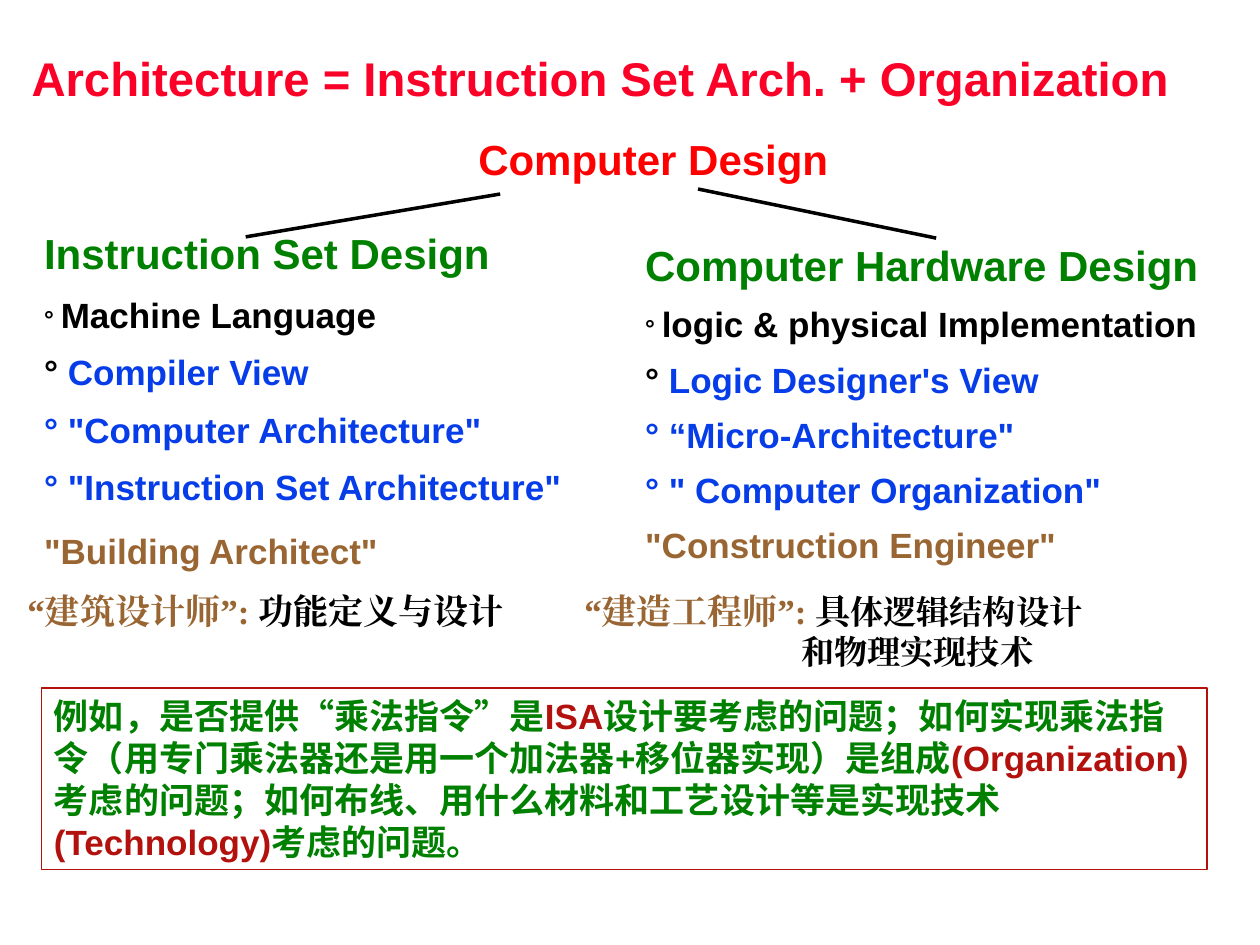
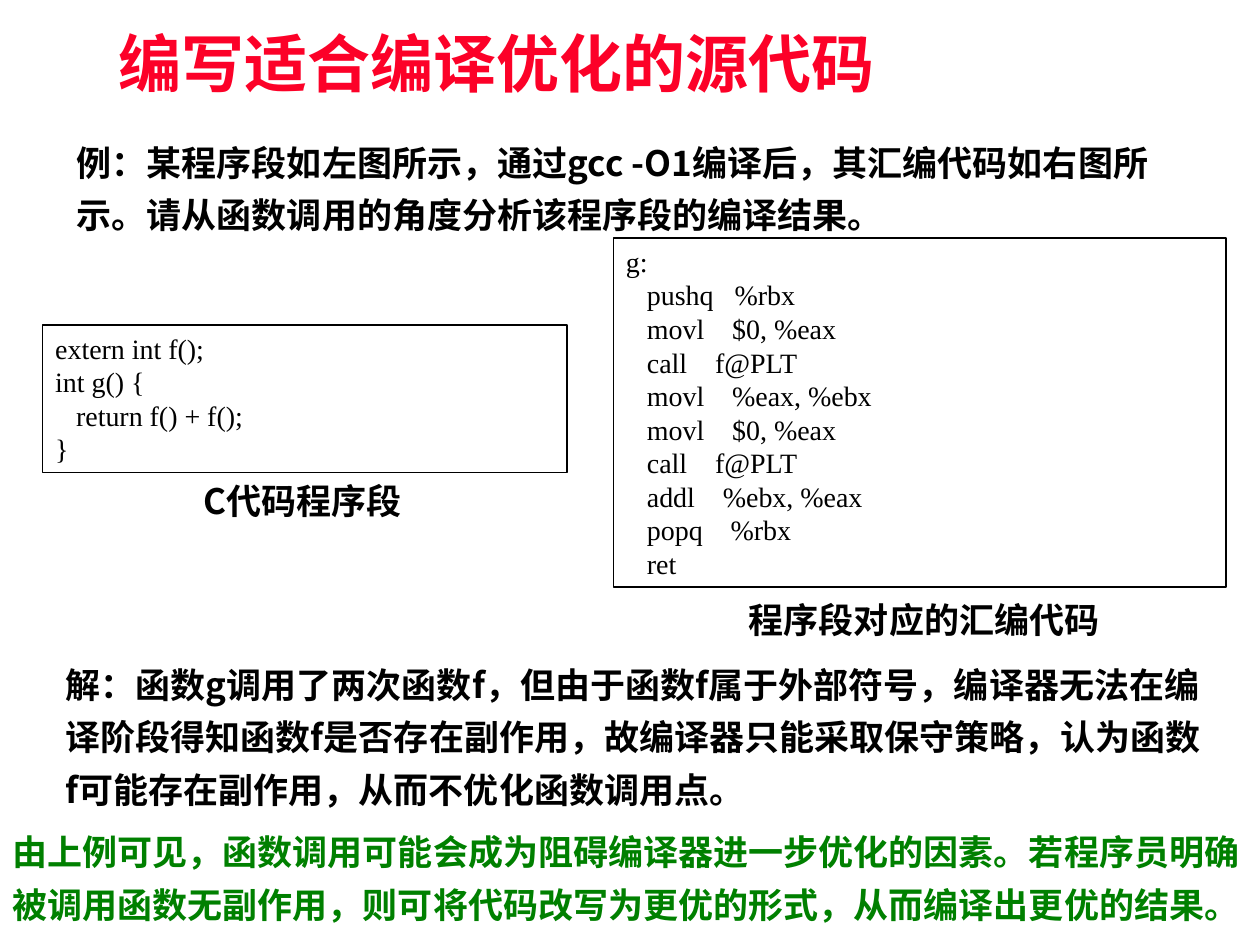
"""Build two slides on computer architecture and compiler-friendly source code."""
from lxml import etree
from pptx import Presentation
from pptx.dml.color import RGBColor
from pptx.enum import shapes, text
from pptx.oxml import ns
from pptx.util import Inches, Pt

RED, GREEN, BLUE = "FC0128", "008000", "063DE8"
BROWN, WINE, BLACK = "996633", "B3110D", "000000"
SANS, HAN, SERIF = "Arial", "Noto Sans CJK SC", "Times New Roman"
LEFT, MID = text.PP_ALIGN.LEFT, text.PP_ALIGN.CENTER
TIGHT, WIDE = (0.07, 0.03), (0.1, 0.05)


def tint(code):
    return RGBColor.from_string(code)


def put(slide, spot, paras, size=20, font=SANS, bold=True, line=None,
        pad=WIDE, align=LEFT, lead=None, gap=0):
    area = [Inches(n) for n in spot]
    if line:
        box = slide.shapes.add_shape(shapes.MSO_SHAPE.RECTANGLE, *area)
        box.shadow.inherit = False
        box.fill.background()
        box.line.color.rgb = tint(line)
        box.line.width = Pt(0.75)
    else:
        box = slide.shapes.add_textbox(*area)
    frame = box.text_frame
    frame.word_wrap = True
    frame.vertical_anchor = text.MSO_ANCHOR.TOP
    frame.margin_left = frame.margin_right = Inches(pad[0])
    frame.margin_top = frame.margin_bottom = Inches(pad[1])
    for i, runs in enumerate(paras):
        para = frame.paragraphs[0] if i == 0 else frame.add_paragraph()
        para.alignment = align
        if lead:
            para.line_spacing = lead
        if i and gap:
            para.space_before = Pt(gap)
        for words, color, *own in runs:
            run = para.add_run()
            run.text = words
            run.font.name = font
            run.font.size = Pt(own[0] if own else size)
            run.font.bold = bold
            run.font.color.rgb = tint(color)
            east = etree.SubElement(run.font._element, ns.qn("a:ea"))
            east.set("typeface", SERIF if font == SERIF else HAN)
    return frame


deck = Presentation()
deck.slide_width, deck.slide_height = Inches(10), Inches(7.5)
design, code = [deck.slides.add_slide(deck.slide_layouts[6]) for _ in range(2)]

titles = [
    (design, (0.18, 0.42, 9.68, 0.45), 27,
     "Architecture = Instruction Set Arch. + Organization"),
    (code, (0.87, 0.25, 8.37, 0.58), 36, "编写适合编译优化的源代码"),
]
for slide, spot, size, words in titles:
    put(slide, spot, [[(words, RED)]], size, pad=TIGHT, lead=0.87)

put(design, (3.17, 1.02, 4.03, 0.46), [[("Computer Design", "FF0000")]], 24,
    pad=TIGHT, align=MID, lead=1.02)

for ends in [(5.54, 1.5, 7.43, 1.89), (3.97, 1.54, 1.95, 1.88)]:
    branch = design.shapes.add_connector(
        shapes.MSO_CONNECTOR.STRAIGHT, *[Inches(n) for n in ends])
    branch.line.color.rgb = tint(BLACK)
    branch.line.width = Pt(2)
    etree.SubElement(branch._element.spPr, ns.qn("a:effectLst"))

columns = [
    ((5.05, 1.87, 4.75, 2.65), 1.0, 7.5, "Computer Hardware Design",
     "logic & physical Implementation", "Logic Designer's View",
     "“Micro-Architecture\"", "\" Computer Organization\"",
     "\"Construction Engineer\""),
    ((0.28, 1.82, 4.58, 2.75), 0.9, 11.2, "Instruction Set Design",
     "Machine Language", "Compiler View", "\"Computer Architecture\"",
     "\"Instruction Set Architecture\"", "\"Building Architect\""),
]
for spot, lead, gap, head, base, view, first, second, role in columns:
    paras = [
        [(head, GREEN, 24)],
        [("° ", BLACK, 14), (base, BLACK)],
        [("° ", BLACK), (view, BLUE)],
        [("° " + first, BLUE)],
        [("° " + second, BLUE)],
        [(role, BROWN)],
    ]
    frame = put(design, spot, paras, pad=TIGHT, lead=lead, gap=gap)
    if lead < 1:
        frame.paragraphs[-1].line_spacing = 1.0
        frame.paragraphs[-1].space_before = Pt(12.5)

put(design, (0.12, 4.63, 4.47, 0.44),
    [[("“建筑设计师”: ", BROWN), ("功能定义与设计", BLACK)]], font=SERIF)
frame = put(design, (4.54, 4.63, 5.46, 1.07),
            [[("“建造工程师”: ", BROWN), ("具", BLACK),
              ("体逻辑结构设计", BLACK, 19)],
             [("和物理实现技术", BLACK, 19)]], font=SERIF)
frame.paragraphs[1]._p.get_or_add_pPr().set("marL", str(Inches(1.72)))

put(design, (0.33, 5.46, 9.25, 1.44), [[
    ("例如，是否提供“乘法指令”是", GREEN),
    ("ISA", WINE),
    ("设计要考虑的问题；如何实现乘法指令（用专门乘法器还是用一个加法器+移位器实现）是组成", GREEN),
    ("(Organization)", WINE),
    ("考虑的问题；如何布线、用什么材料和工艺设计等是实现技术", GREEN),
    ("(Technology)", WINE),
    ("考虑的问题。", GREEN),
]], line=WINE)

source = """extern int f();
int g() {
   return f() + f();
}"""
listing = """g:
   pushq   %rbx
   movl    $0, %eax
   call    f@PLT
   movl    %eax, %ebx
   movl    $0, %eax
   call    f@PLT
   addl    %ebx, %eax
   popq    %rbx
   ret"""
panels = [
    ((0.34, 2.58, 4.16, 1.17), source, (0.32, 3.76, 4.16, 0.44), "C代码程序段"),
    ((4.87, 1.89, 4.86, 2.77), listing, (5.11, 4.7, 4.45, 0.44),
     "程序段对应的汇编代码"),
]
for spot, lines, under, label in panels:
    put(code, spot, [[(row, BLACK)] for row in lines.split("\n")], 16, SERIF,
        bold=False, line=BLACK)
    put(code, under, [[(label, BLACK)]], font=HAN, align=MID)

notes = [
    ((0.51, 0.99, 8.79, 0.94), BLACK,
     "例：某程序段如左图所示，通过gcc -O1编译后，其汇编代码如右图所示。"
     "请从函数调用的角度分析该程序段的编译结果。"),
    ((0.42, 5.13, 9.25, 1.35), BLACK,
     "解：函数g调用了两次函数f，但由于函数f属于外部符号，编译器无法在编译阶段得知"
     "函数f是否存在副作用，故编译器只能采取保守策略，认为函数f可能存在副作用，"
     "从而不优化函数调用点。"),
    ((0, 6.46, 10, 0.94), GREEN,
     "由上例可见，函数调用可能会成为阻碍编译器进一步优化的因素。若程序员明确"
     "被调用函数无副作用，则可将代码改写为更优的形式，从而编译出更优的结果。"),
]
for spot, color, words in notes:
    put(code, spot, [[(words, color)]], font=HAN, lead=Pt(30))

deck.save("out.pptx")
